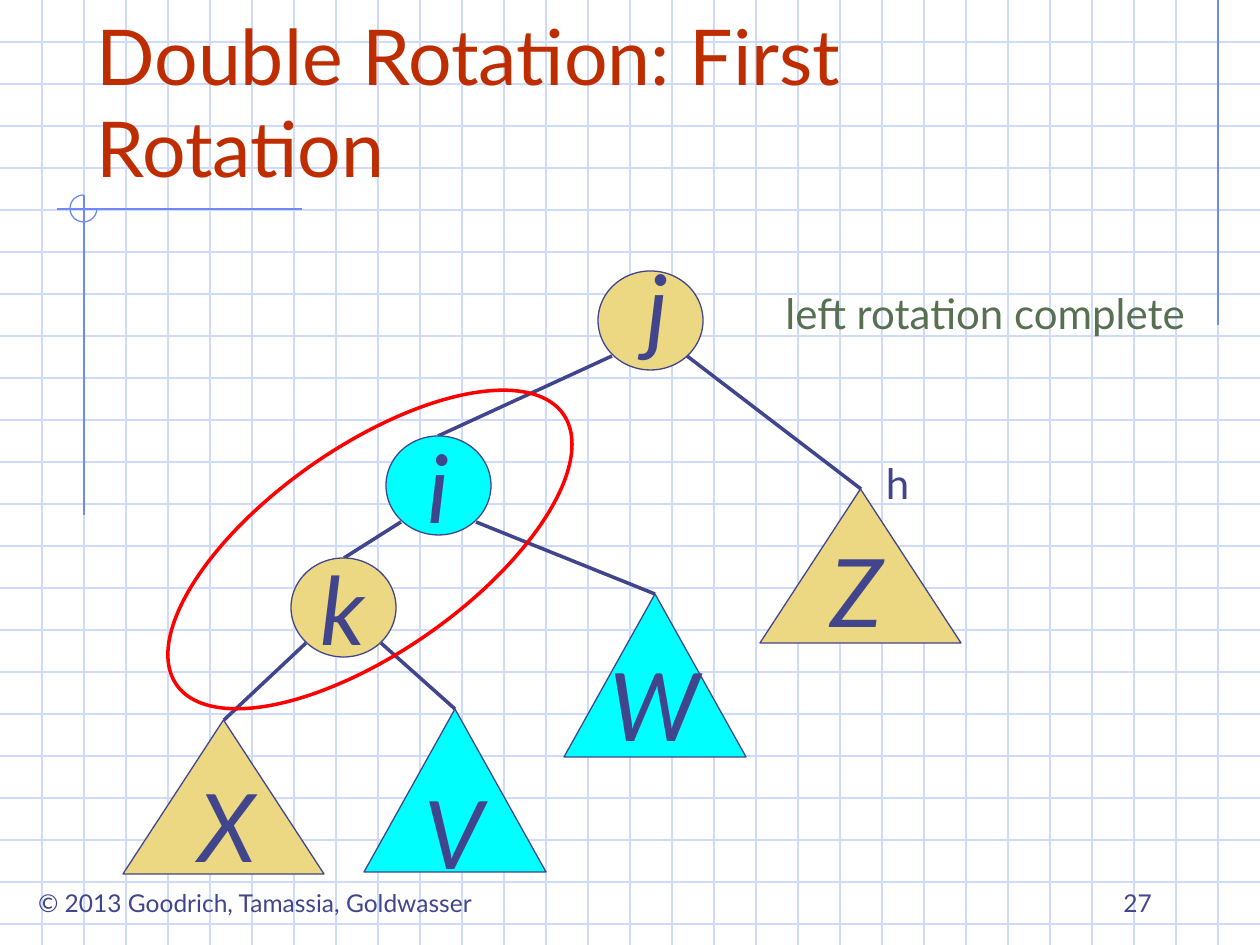
import pptx
import pptx.util
import pptx.dml.color
import pptx.enum.shapes
import pptx.enum.text
import pptx.oxml
import pptx.oxml.ns
from dataclasses import dataclass
from typing import Optional, Tuple

Kind = pptx.enum.shapes.MSO_SHAPE
Align = pptx.enum.text.PP_ALIGN
Anchor = pptx.enum.text.MSO_ANCHOR

WIDE, HIGH = 1260, 945
SCALE = 914400 / 126


@dataclass(frozen=True)
class Theme:
    font: str = "Lato"
    ink: str = "40458C"
    title: str = "BE2D00"
    note: str = "577052"
    sand: str = "ECD882"
    cyan: str = "00FFFF"
    ring: str = "FF0000"
    grid: str = "CFDBFD"
    rule: str = "6F89F7"
    head: int = 44
    node: int = 54
    label: int = 24
    foot: int = 14
    thin: float = 0.75
    thick: float = 2


THEME = Theme()


@dataclass(frozen=True)
class Line:
    x1: int
    y1: int
    x2: int
    y2: int


@dataclass(frozen=True)
class Box:
    x: int
    y: int
    w: int
    h: int


@dataclass(frozen=True)
class Style:
    size: int
    color: str = THEME.ink
    align: Align = Align.CENTER
    anchor: Anchor = Anchor.TOP
    wrap: bool = False
    italic: bool = False
    right: int = 13


@dataclass(frozen=True)
class Node:
    name: str
    kind: Kind
    box: Box
    fill: str
    spot: Optional[Tuple[int, int]] = None  # own place of the letter


def px(n: float) -> int:
    return round(n * SCALE)


def area(box: Box) -> Tuple[int, int, int, int]:
    return px(box.x), px(box.y), px(box.w), px(box.h)


def rgb(code: str) -> pptx.dml.color.RGBColor:
    return pptx.dml.color.RGBColor.from_string(code)


def draw_line(slide, line: Line, color: str, width: float) -> None:
    link = slide.shapes.add_connector(
        pptx.enum.shapes.MSO_CONNECTOR.STRAIGHT,
        px(line.x1), px(line.y1), px(line.x2), px(line.y2))
    link.line.color.rgb = rgb(color)
    link.line.width = pptx.util.Pt(width)
    props = link._element.spPr
    props.append(pptx.oxml.parse_xml(
        "<a:effectLst %s/>" % pptx.oxml.ns.nsdecls("a")))


def draw_shape(slide, kind: Kind, box: Box, fill: Optional[str],
               color: str, width: float):
    shape = slide.shapes.add_shape(kind, *area(box))
    shape.shadow.inherit = False
    if fill:
        shape.fill.solid()
        shape.fill.fore_color.rgb = rgb(fill)
    else:
        shape.fill.background()
    shape.line.color.rgb = rgb(color)
    shape.line.width = pptx.util.Pt(width)
    return shape


def set_text(shape, text: str, style: Style) -> None:
    frame = shape.text_frame
    frame.text = text
    frame.word_wrap = style.wrap
    frame.vertical_anchor = style.anchor
    frame.margin_right = px(style.right)
    para = frame.paragraphs[0]
    para.alignment = style.align
    font = para.runs[0].font
    font.name = THEME.font
    font.size = pptx.util.Pt(style.size)
    font.italic = style.italic
    font.color.rgb = rgb(style.color)


def draw_text(slide, text: str, box: Box, style: Style) -> None:
    set_text(slide.shapes.add_textbox(*area(box)), text, style)


def draw_node(slide, node: Node) -> None:
    shape = draw_shape(slide, node.kind, node.box, node.fill,
                       THEME.ink, THEME.thin)
    if node.spot:
        draw_text(slide, node.name, Box(*node.spot, 64, 126),
                  Style(THEME.node, wrap=True, italic=True))
    else:
        set_text(shape, node.name,
                 Style(THEME.node, anchor=Anchor.MIDDLE, italic=True))


RULES = [Line(1218, 0, 1218, 325), Line(302, 209, 57, 209),
         Line(84, 195, 84, 515)]

EDGES = [Line(612, 356, 438, 436), Line(687, 356, 861, 489),
         Line(401, 522, 344, 558), Line(476, 522, 655, 594),
         Line(306, 643, 224, 720), Line(381, 643, 455, 709)]

NODES = [
    Node("j", Kind.OVAL, Box(598, 271, 105, 99), THEME.sand, (626, 243)),
    Node("i", Kind.OVAL, Box(386, 436, 105, 99), THEME.cyan),
    Node("k", Kind.OVAL, Box(291, 558, 105, 99), THEME.sand),
    Node("X", Kind.ISOSCELES_TRIANGLE, Box(123, 720, 201, 154),
         THEME.sand, (186, 762)),
    Node("V", Kind.ISOSCELES_TRIANGLE, Box(364, 709, 182, 163), THEME.cyan),
    Node("W", Kind.ISOSCELES_TRIANGLE, Box(564, 594, 182, 163),
         THEME.cyan, (597, 641)),
    Node("Z", Kind.ISOSCELES_TRIANGLE, Box(760, 489, 201, 154),
         THEME.sand, (818, 527)),
]

TEXTS = [
    ("© 2013 Goodrich, Tamassia, Goldwasser", Box(11, 882, 489, 43),
     Style(THEME.foot)),
    ("Double Rotation: First Rotation", Box(84, 42, 1071, 157),
     Style(THEME.head, THEME.title, Align.LEFT, Anchor.BOTTOM, True,
           right=60)),
    ("27", Box(903, 861, 262, 63),
     Style(THEME.foot, align=Align.RIGHT, anchor=Anchor.BOTTOM, wrap=True)),
    ("left rotation complete", Box(759, 281, 453, 63),
     Style(THEME.label, THEME.note)),
    ("h", Box(873, 451, 50, 63), Style(THEME.label)),
]


def main() -> None:
    deck = pptx.Presentation()
    deck.slide_width, deck.slide_height = px(WIDE), px(HIGH)
    slide = deck.slides.add_slide(deck.slide_layouts[6])

    # Graph paper
    step = 42
    grid = [Line(0, y, WIDE, y) for y in range(step, HIGH, step)]
    grid += [Line(x, 0, x, HIGH) for x in range(step, WIDE, step)]
    for line in grid:
        draw_line(slide, line, THEME.grid, THEME.thin)

    # Margin rules with three quarters of a circle
    for line in RULES:
        draw_line(slide, line, THEME.rule, THEME.thin)
    arc = draw_shape(slide, Kind.ARC, Box(70, 195, 27, 27), None,
                     THEME.rule, THEME.thin)
    arc.adjustments[0] = 0
    arc.adjustments[1] = 270 * 0.6  # degrees in units of 1/60000

    # Title, footer and labels
    for text, box, style in TEXTS:
        draw_text(slide, text, box, style)

    # Tree
    for edge in EDGES:
        draw_line(slide, edge, THEME.ink, THEME.thick)
    for node in NODES:
        draw_node(slide, node)

    # Ring around the rotated pair
    ring = draw_shape(slide, Kind.OVAL, Box(134, 447, 472, 205), None,
                      THEME.ring, THEME.thick)
    ring.rotation = 325

    deck.save("out.pptx")


if __name__ == "__main__":
    main()
